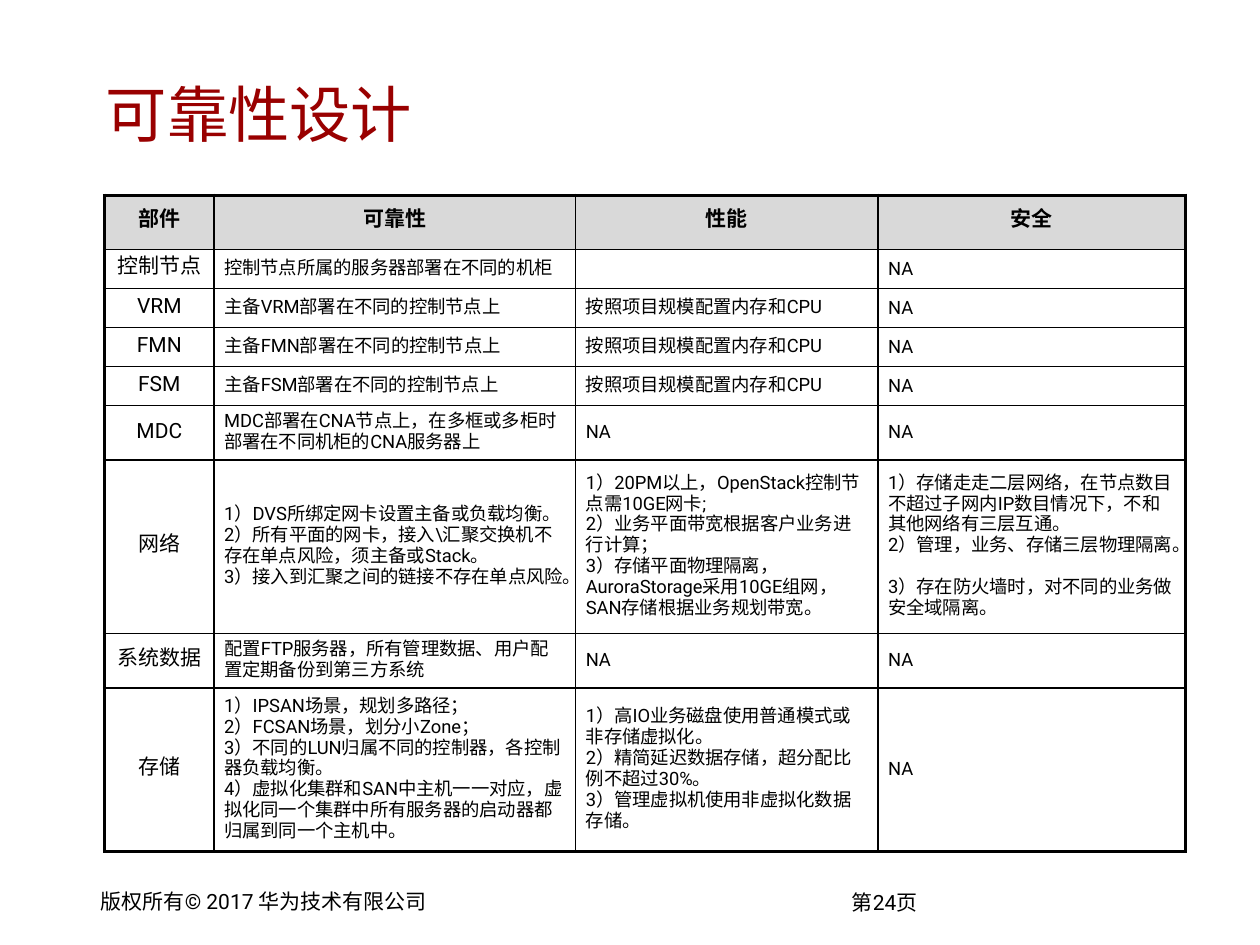
from typing import NamedTuple

from lxml import etree
from pptx import Presentation
from pptx import util as u
from pptx.dml.color import RGBColor
from pptx.enum import text
from pptx.oxml import ns

FONT = "Roboto"
BLACK = "000000"
HEADER_FILL = "D9D9D9"
OUTER_LINE, INNER_LINE = 2.25, 1


class Label(NamedTuple):
    words: str
    left: float
    top: float
    width: float
    height: float
    size: float
    color: str = BLACK
    anchor: text.MSO_ANCHOR = text.MSO_ANCHOR.TOP


class Component(NamedTuple):
    name: str
    reliability: str
    performance: str
    security: str
    height: float


LABELS = [
    Label("可靠性设计", 0.75, 0.42, 8.66, 0.95, 35, "990000", text.MSO_ANCHOR.MIDDLE),
    Label("版权所有© 2017 华为技术有限公司", 0.71, 7.01, 2.79, 0.29, 12),
    Label("第24页", 6.67, 7.02, 0.72, 0.29, 12),
]

SIZING = "按照项目规模配置内存和CPU"
COLUMN_WIDTHS = [0.87, 2.87, 2.4, 2.44]
COMPONENTS = [
    Component("部件", "可靠性", "性能", "安全", 0.43),
    Component("控制节点", "控制节点所属的服务器部署在不同的机柜", "", "NA", 0.31),
    *(Component(name, f"主备{name}部署在不同的控制节点上", SIZING, "NA", 0.31)
      for name in ("VRM", "FMN", "FSM")),
    Component("MDC", "MDC部署在CNA节点上，在多框或多柜时部署在不同机柜的CNA服务器上",
              "NA", "NA", 0.43),
    Component(
        "网络",
        "1）DVS所绑定网卡设置主备或负载均衡。\n"
        "2）所有平面的网卡，接入\\汇聚交换机不存在单点风险，须主备或Stack。\n"
        "3）接入到汇聚之间的链接不存在单点风险。",
        "1）20PM以上，OpenStack控制节点需10GE网卡;\n"
        "2）业务平面带宽根据客户业务进行计算；\n"
        "3）存储平面物理隔离，AuroraStorage采用10GE组网，SAN存储根据业务规划带宽。",
        "1）存储走走二层网络，在节点数目不超过子网内IP数目情况下，不和其他网络有三层互通。\n"
        "2）管理，业务、存储三层物理隔离。\n"
        "3）存在防火墙时，对不同的业务做安全域隔离。",
        1.38),
    Component("系统数据", "配置FTP服务器，所有管理数据、用户配置定期备份到第三方系统",
              "NA", "NA", 0.43),
    Component(
        "存储",
        "1）IPSAN场景，规划多路径；\n"
        "2）FCSAN场景，划分小Zone；\n"
        "3）不同的LUN归属不同的控制器，各控制器负载均衡。\n"
        "4）虚拟化集群和SAN中主机一一对应，虚拟化同一个集群中所有服务器的启动器都归属到同一个主机中。",
        "1）高IO业务磁盘使用普通模式或非存储虚拟化。\n"
        "2）精简延迟数据存储，超分配比例不超过30%。\n"
        "3）管理虚拟机使用非虚拟化数据存储。",
        "NA",
        1.3),
]


def rgb(color: str) -> RGBColor:
    return RGBColor.from_string(color)


def format_font(font, size: float, color: str = BLACK, bold: bool = False) -> None:
    font.name, font.size, font.bold = FONT, u.Pt(size), bold
    font.color.rgb = rgb(color)


def add_label(slide, label: Label) -> None:
    box = slide.shapes.add_textbox(u.Inches(label.left), u.Inches(label.top),
                                   u.Inches(label.width), u.Inches(label.height))
    frame = box.text_frame
    frame.word_wrap = True
    frame.vertical_anchor = label.anchor
    frame.margin_left = frame.margin_right = u.Inches(0.09)
    frame.margin_top = frame.margin_bottom = u.Inches(0.04)
    frame.text = label.words
    format_font(frame.paragraphs[0].runs[0].font, label.size, label.color)


def add_border(cell, side: str, width: float) -> None:
    properties = cell._tc.get_or_add_tcPr()
    line = etree.SubElement(properties, ns.qn(f"a:ln{side}"), w=str(u.Pt(width)))
    fill = etree.SubElement(line, ns.qn("a:solidFill"))
    etree.SubElement(fill, ns.qn("a:srgbClr"), val=BLACK)


def fill_cell(cell, words: str, is_header: bool, is_name: bool) -> None:
    cell.vertical_anchor = text.MSO_ANCHOR.MIDDLE
    cell.margin_left = cell.margin_right = u.Inches(0.08)
    cell.margin_top = cell.margin_bottom = 0
    if is_header:
        cell.fill.solid()
        cell.fill.fore_color.rgb = rgb(HEADER_FILL)
    else:
        cell.fill.background()

    centred = is_header or is_name
    size = 12 if centred else 10.5
    paragraph = cell.text_frame.paragraphs[0]
    paragraph.text = words
    paragraph.alignment = text.PP_ALIGN.CENTER if centred else text.PP_ALIGN.LEFT
    paragraph.line_spacing = u.Pt(12)
    paragraph.font.size = u.Pt(size)
    for run in paragraph.runs:
        format_font(run.font, size, bold=is_header)


def add_component_table(slide) -> None:
    row_count, column_count = len(COMPONENTS), len(COLUMN_WIDTHS)
    table = slide.shapes.add_table(
        row_count, column_count, u.Inches(0.83), u.Inches(1.55),
        u.Inches(sum(COLUMN_WIDTHS)),
        u.Inches(sum(component.height for component in COMPONENTS))).table
    table.first_row = table.horz_banding = False
    for column, width in zip(table.columns, COLUMN_WIDTHS):
        column.width = u.Inches(width)

    for row, component in enumerate(COMPONENTS):
        table.rows[row].height = u.Inches(component.height)
        for column, words in enumerate(component[:column_count]):
            cell = table.cell(row, column)
            on_edge = {"L": column == 0, "R": column == column_count - 1,
                       "T": row == 0, "B": row == row_count - 1}
            for side, outer in on_edge.items():
                add_border(cell, side, OUTER_LINE if outer else INNER_LINE)
            fill_cell(cell, words, is_header=row == 0, is_name=column == 0)


def main() -> None:
    presentation = Presentation()
    presentation.slide_width = u.Inches(10)
    presentation.slide_height = u.Inches(7.5)
    slide = presentation.slides.add_slide(presentation.slide_layouts[6])

    # Title and footer
    for label in LABELS:
        add_label(slide, label)

    # Design measures for each component
    add_component_table(slide)
    presentation.save("out.pptx")


if __name__ == "__main__":
    main()
